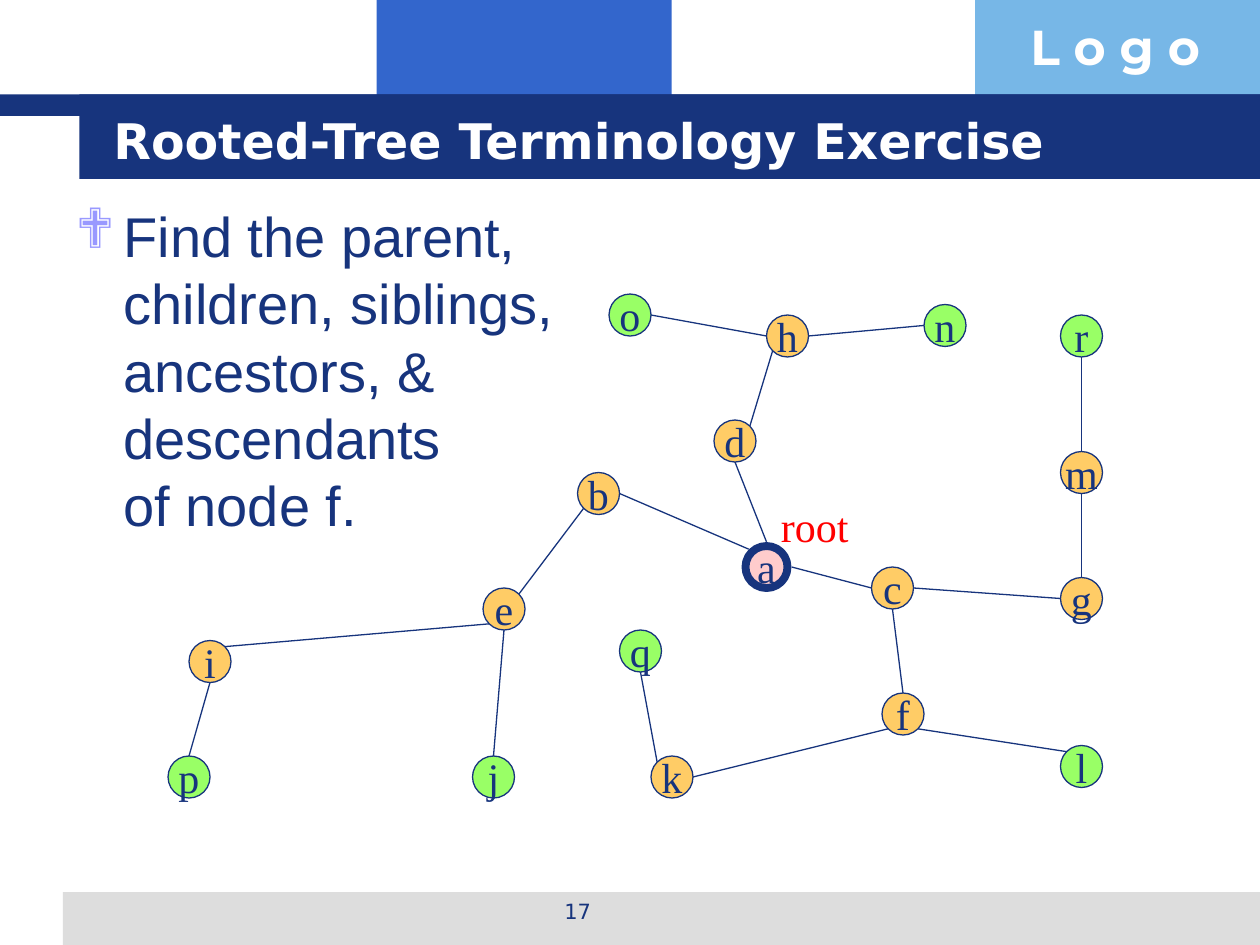
from math import cos, radians, sin

from lxml.etree import SubElement
from pptx import Presentation
from pptx.dml.color import RGBColor
from pptx.enum.shapes import MSO_CONNECTOR, MSO_SHAPE
from pptx.enum.text import MSO_ANCHOR, MSO_AUTO_SIZE, PP_ALIGN
from pptx.oxml.ns import qn
from pptx.util import Inches, Pt

NAVY, WHITE = "17347D", "FFFFFF"
INNER, LEAF, ROOT = "FFCC66", "99FF66", "FFCCCC"
CELL = Inches(1) / 12  # the tree sits on a grid of twelve cells to the inch
NODE_SIZE = 4
ANGLES = {"e": 0, "se": 45, "s": 90, "sw": 135, "w": 180, "nw": 225, "n": 270, "ne": 315}


def color(value):
    return RGBColor.from_string(value)


def write(shape, text, size, font="Times New Roman", fill=NAVY, bold=False,
          align=PP_ALIGN.LEFT, anchor=MSO_ANCHOR.TOP, wrap=True):
    frame = shape.text_frame
    frame.auto_size = MSO_AUTO_SIZE.NONE
    frame.word_wrap = wrap
    frame.vertical_anchor = anchor
    frame.text = text
    paragraph = frame.paragraphs[0]
    paragraph.alignment = align
    paragraph.space_before = Pt(0)
    for run in paragraph.runs:
        run.font.size, run.font.name, run.font.bold = Pt(size), font, bold
        run.font.color.rgb = color(fill)
    return paragraph


presentation = Presentation()
presentation.slide_width, presentation.slide_height = Inches(10), Inches(7.5)
slide = presentation.slides.add_slide(presentation.slide_layouts[1])
shapes = slide.shapes
title, body = slide.placeholders

# Header blocks, title band and footer
bands = [
    (2.99, 0, 2.34, 0.92, "3366CC"),
    (7.74, 0, 2.26, 0.92, "77B7E7"),
    (0.5, 7.08, 9.5, 0.42, "DDDDDD"),
    (0, 0.75, 10, 0.17, NAVY),
    (0.63, 0.75, 9.37, 0.67, NAVY),
]
for left, top, width, height, fill in bands:
    band = shapes.add_shape(MSO_SHAPE.RECTANGLE, *map(Inches, (left, top, width, height)))
    band.shadow.inherit = False
    band.fill.solid()
    band.fill.fore_color.rgb = color(fill)
    band.line.fill.background()

header = shapes.add_textbox(*map(Inches, (8.08, 0.08, 1.93, 0.57)))
write(header, "L o g o", 28, font="Montserrat", fill=WHITE, bold=True)
page_number = shapes.add_textbox(*map(Inches, (3.42, 7.08, 2.33, 0.35)))
write(page_number, "17", 12, font="DejaVu Sans", align=PP_ALIGN.CENTER)

# Title and task, lifted in front of the bands
for placeholder, box in ((title, (0.8, 0.8, 8.53, 0.62)), (body, (0.5, 1.55, 9, 5.34))):
    placeholder.left, placeholder.top, placeholder.width, placeholder.height = map(Inches, box)
    shapes.element.append(placeholder.element)
write(title, "Rooted-Tree Terminology Exercise", 28, font="DejaVu Sans", fill=WHITE,
      bold=True, anchor=MSO_ANCHOR.MIDDLE)
task = write(body, "Find the parent,\vchildren, siblings,\vancestors, &\vdescendants\vof node f.",
             32, font="Arial")
properties = task._p.get_or_add_pPr()
properties.set("marL", str(Inches(0.38)))
properties.set("indent", str(-Inches(0.38)))
bullet_color = SubElement(properties, qn("a:buClr"))
SubElement(bullet_color, qn("a:srgbClr"), val="9999FF")
SubElement(properties, qn("a:buFont"), typeface="Wingdings")
SubElement(properties, qn("a:buChar"), char="❖")

# Nodes: left and top in grid cells
nodes = {
    "a": (71, 52, ROOT), "b": (55, 45, INNER), "c": (83, 54, INNER),
    "d": (68, 40, INNER), "e": (46, 56, INNER), "f": (84, 66, INNER),
    "g": (101, 55, INNER), "h": (73, 30, INNER), "i": (18, 61, INNER),
    "j": (45, 72, LEAF), "k": (62, 72, INNER), "l": (101, 71, LEAF),
    "m": (101, 43, INNER), "n": (88, 29, LEAF), "o": (58, 28, LEAF),
    "p": (16, 72, LEAF), "q": (59, 60, LEAF), "r": (101, 30, LEAF),
}
for name, (column, row, fill) in nodes.items():
    node = shapes.add_shape(MSO_SHAPE.OVAL, *(round(n * CELL) for n in (column, row, NODE_SIZE, NODE_SIZE)))
    node.shadow.inherit = False
    node.fill.solid()
    node.fill.fore_color.rgb = color(fill)
    node.line.color.rgb = color(NAVY)
    node.line.width = Pt(4.5 if fill == ROOT else 0.75)
    write(node, name, 24, align=PP_ALIGN.CENTER, anchor=MSO_ANCHOR.MIDDLE, wrap=False)

# Edges: each end is a node and the compass point where the line meets it
edges = [
    "a nw b e", "a e c w", "a n d s", "b sw e ne", "c s f n", "c e g w",
    "d ne h sw", "e sw i ne", "e s j n", "f sw k e", "f se l nw", "k nw q s",
    "g n m s", "h e n w", "h w o e", "m n r s", "i s p n",
]
for edge in edges:
    start, start_side, end, end_side = edge.split()
    points = []
    for name, side in ((start, start_side), (end, end_side)):
        column, row, fill = nodes[name]
        radius = NODE_SIZE / 2 + (0.4 if fill == ROOT else 0)
        angle = radians(ANGLES[side])
        points.append(round((column + NODE_SIZE / 2 + radius * cos(angle)) * CELL))
        points.append(round((row + NODE_SIZE / 2 + radius * sin(angle)) * CELL))
    line = shapes.add_connector(MSO_CONNECTOR.STRAIGHT, *points)
    line.line.color.rgb = color(NAVY)
    line.line.width = Pt(0.75)
    SubElement(line._element.spPr, qn("a:effectLst"))

root_label = shapes.add_textbox(*map(Inches, (6.1, 3.92, 0.74, 0.5)))
write(root_label, "root", 24, fill="FF0000", wrap=False)

presentation.save("out.pptx")
